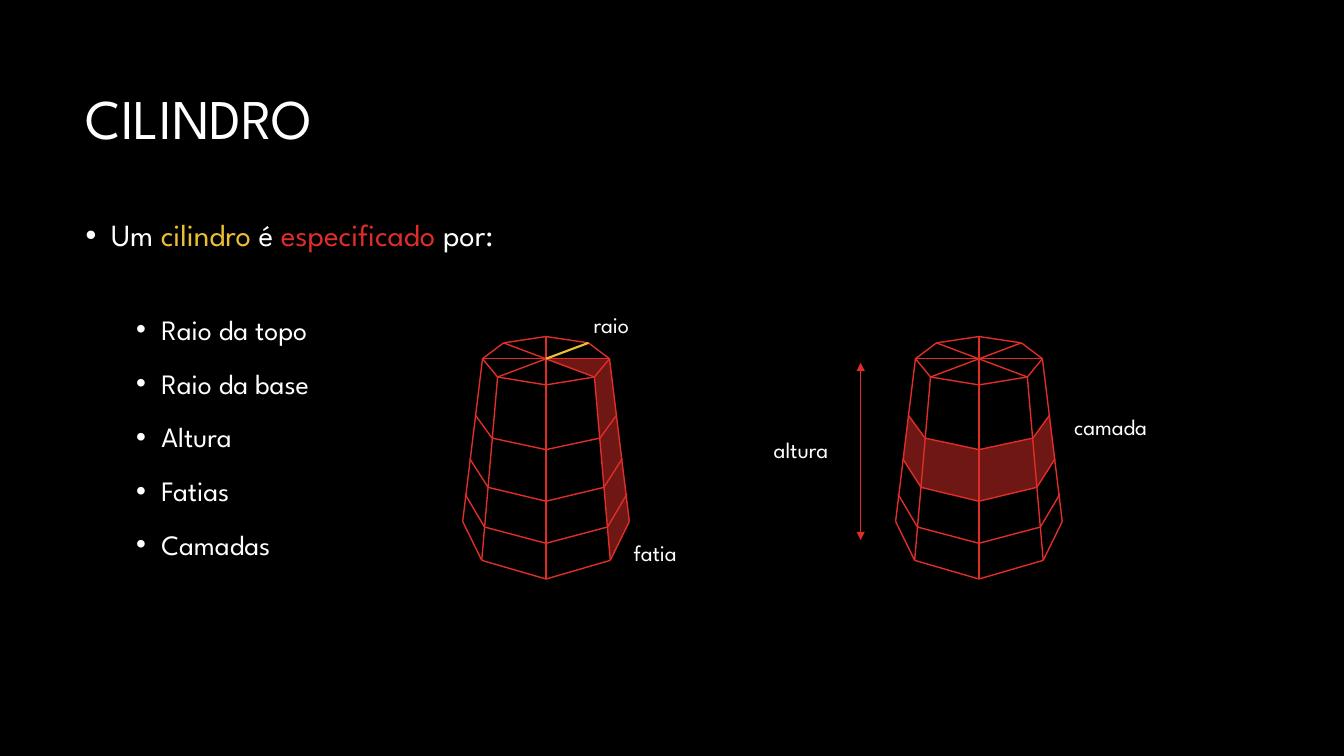
"""Build the slide that explains how a cylinder is specified."""
from dataclasses import dataclass

import pptx
import pptx.dml.color
import pptx.enum.shapes
import pptx.enum.text
import pptx.oxml
import pptx.oxml.ns
import pptx.util
from pptx.util import Cm

COLORS = {"background": "000000", "text": "FFFFFF", "mesh": "DF2E28", "accent": "E9BF35"}
FONT = "League Spartan"
Point = tuple[float, float]


@dataclass(frozen=True)
class Ring:
    """Visible front of one ring: half widths and heights in centimetres."""
    inner_x: float
    inner_y: float
    outer_x: float
    outer_y: float
    center_y: float

    def points(self) -> list[Point]:
        """Return the five front points from left to right, around the axis."""
        return [(-self.outer_x, self.outer_y), (-self.inner_x, self.inner_y),
                (0, self.center_y),
                (self.inner_x, self.inner_y), (self.outer_x, self.outer_y)]


@dataclass(frozen=True)
class Label:
    """One caption beside a cylinder."""
    text: str
    left: float
    top: float
    width: float


@dataclass(frozen=True)
class Bullet:
    """One bulleted line made of coloured pieces."""
    pieces: tuple[tuple[str, str], ...]
    size: int
    indent: float
    space_before: int


RINGS = [Ring(1.22, 9.5, 1.6, 9.04, 9.7).points(),
         Ring(1.36, 11.04, 1.78, 10.46, 11.33).points(),
         Ring(1.46, 12.28, 1.92, 11.56, 12.63).points(),
         Ring(1.55, 13.28, 2.04, 12.45, 13.69).points(),
         Ring(1.62, 14.12, 2.1, 13.14, 14.59).points()]
TOP, BASE = RINGS[0], RINGS[-1]
TOP_BACK = [(1.07, 8.64), (0, 8.48), (-1.07, 8.64)]
TOP_CENTER = (0, 9.04)
SLICE = [[TOP[3], TOP[4], BASE[4], BASE[3]], [TOP_CENTER, TOP[4], TOP[3]]]
LAYER = [[RINGS[1][i], RINGS[1][i + 1], RINGS[2][i + 1], RINGS[2][i]] for i in range(4)]
SLICE_AXIS, LAYER_AXIS = 13.76, 24.67

LABELS = [Label("altura", 19.25, 10.87, 2.11), Label("camada", 26.82, 10.29, 2.97),
          Label("fatia", 15.72, 13.46, 1.78), Label("raio", 14.71, 7.72, 1.57)]
ITEMS = ["Raio da topo", "Raio da base", "Altura", "Fatias", "Camadas"]
BULLETS = [Bullet((("Um ", "text"), ("cilindro", "accent"), (" é ", "text"),
                   ("especificado", "mesh"), (" por:", "text")), 22, 0.64, 10)]
BULLETS += [Bullet(((item, "text"),), 20, 1.91, 12 if number else 40)
            for number, item in enumerate(ITEMS)]


def rgb(name: str) -> pptx.dml.color.RGBColor:
    """Return the named colour."""
    return pptx.dml.color.RGBColor.from_string(COLORS[name])


def xml(tag: str, attributes: str = ""):
    """Return a new empty drawing element."""
    return pptx.oxml.parse_xml(f'<a:{tag} {pptx.oxml.ns.nsdecls("a")} {attributes}/>')


def style(run, size: float, color: str) -> None:
    """Format a run."""
    run.font.name = FONT
    run.font.size = pptx.util.Pt(size)
    run.font.color.rgb = rgb(color)


def draw_line(shapes, start: Point, end: Point, color: str = "mesh",
              width: float = 1, arrows: bool = False) -> None:
    """Draw a straight line, with arrowheads at both ends if asked."""
    line = shapes.add_connector(pptx.enum.shapes.MSO_CONNECTOR.STRAIGHT,
                                *(Cm(value) for value in start + end))
    line.line.color.rgb = rgb(color)
    line.line.width = pptx.util.Pt(width)
    properties = line._element.spPr
    properties.append(xml("effectLst"))
    if arrows:
        outline = properties.find(pptx.oxml.ns.qn("a:ln"))
        for tag in ("headEnd", "tailEnd"):
            outline.append(xml(tag, 'type="triangle"'))


def draw_face(shapes, corners: list[Point]) -> None:
    """Draw a half-transparent polygon."""
    start, *others = [(Cm(x), Cm(y)) for x, y in corners]
    builder = shapes.build_freeform(*start)
    builder.add_line_segments(others, close=True)
    face = builder.convert_to_shape()
    face.shadow.inherit = False
    face.line.fill.background()
    face.fill.solid()
    face.fill.fore_color.rgb = rgb("mesh")
    color = face._element.spPr.find(".//" + pptx.oxml.ns.qn("a:srgbClr"))
    color.append(xml("alpha", 'val="50000"'))


def draw_cylinder(shapes, axis: float, faces: list[list[Point]]) -> None:
    """Draw the wireframe around an axis, with the given faces filled."""
    group = shapes.add_group_shape().shapes
    for face in faces:
        draw_face(group, [(axis + x, y) for x, y in face])
    lid = TOP + TOP_BACK
    edges = list(zip(lid, lid[1:] + lid[:1]))
    edges += zip(lid[:4], lid[4:])
    edges += zip(TOP, BASE)
    for ring in RINGS[1:]:
        edges += zip(ring, ring[1:])
    for (x1, y1), (x2, y2) in edges:
        draw_line(group, (axis + x1, y1), (axis + x2, y2))


def draw_label(shapes, label: Label) -> None:
    """Write a caption."""
    box = shapes.add_textbox(Cm(label.left), Cm(label.top), Cm(label.width), Cm(0.94))
    frame = box.text_frame
    frame.word_wrap = False
    frame.text = label.text
    style(frame.paragraphs[0].runs[0], 16, "text")


def draw_bullets(shapes) -> None:
    """Write the bulleted list."""
    frame = shapes.add_textbox(Cm(1.91), Cm(5.23), Cm(30.05), Cm(11.91)).text_frame
    frame.word_wrap = True
    for number, bullet in enumerate(BULLETS):
        paragraph = frame.add_paragraph() if number else frame.paragraphs[0]
        paragraph.level = int(number > 0)
        paragraph.line_spacing = 1.1
        paragraph.space_before = pptx.util.Pt(bullet.space_before)
        properties = paragraph._p.get_or_add_pPr()
        properties.set("marL", str(Cm(bullet.indent)))
        properties.set("indent", str(Cm(-0.64)))
        properties.append(xml("buFont", 'typeface="Arial"'))
        properties.append(xml("buChar", 'char="•"'))
        for text, color in bullet.pieces:
            run = paragraph.add_run()
            run.text = text
            style(run, bullet.size, color)


def format_title(title) -> None:
    """Place, fill and format the title."""
    title.left, title.top, title.width, title.height = Cm(1.91), Cm(1.27), Cm(30.05), Cm(3.58)
    frame = title.text_frame
    frame.text = "CILINDRO"
    frame.vertical_anchor = pptx.enum.text.MSO_ANCHOR.MIDDLE
    paragraph = frame.paragraphs[0]
    paragraph.alignment = pptx.enum.text.PP_ALIGN.LEFT
    paragraph.line_spacing = 0.9
    style(paragraph.runs[0], 40, "text")


def main() -> None:
    """Build and save the presentation."""
    presentation = pptx.Presentation()
    presentation.slide_width, presentation.slide_height = Cm(33.87), Cm(19.05)
    slide = presentation.slides.add_slide(presentation.slide_layouts[5])
    slide.background.fill.solid()
    slide.background.fill.fore_color.rgb = rgb("background")
    format_title(slide.shapes.title)
    draw_bullets(slide.shapes)
    draw_cylinder(slide.shapes, LAYER_AXIS, LAYER)
    draw_line(slide.shapes, (21.69, 9.14), (21.69, 13.61), width=0.75, arrows=True)
    draw_cylinder(slide.shapes, SLICE_AXIS, SLICE)
    radius_x, radius_y = TOP_BACK[0]
    draw_line(slide.shapes, (SLICE_AXIS, TOP_CENTER[1]), (SLICE_AXIS + radius_x, radius_y),
              "accent", 1.5)
    for label in LABELS:
        draw_label(slide.shapes, label)
    presentation.save("out.pptx")


if __name__ == "__main__":
    main()
